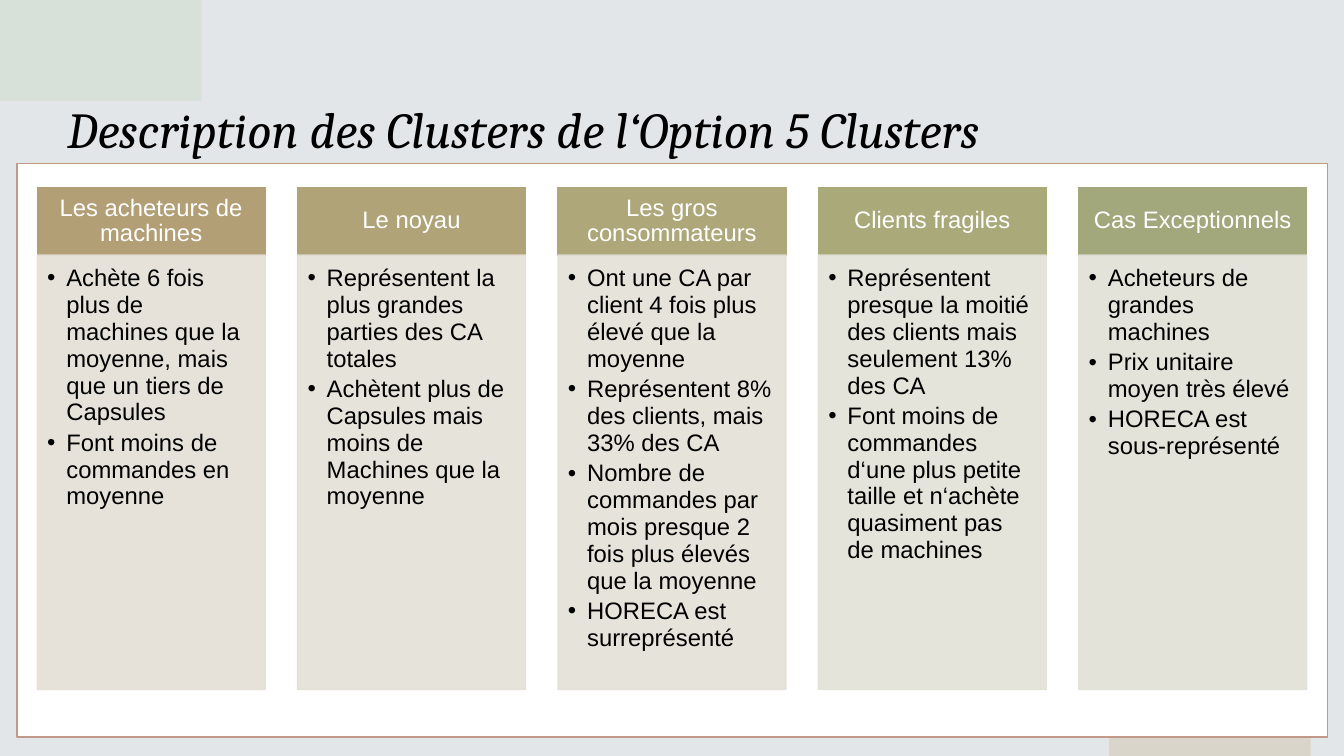
from lxml import etree
from pptx import Presentation
from pptx.dml.color import RGBColor
from pptx.enum.shapes import MSO_SHAPE
from pptx.enum.text import MSO_ANCHOR, PP_ALIGN
from pptx.oxml.ns import qn
from pptx.util import Inches, Pt

RECTANGLE = MSO_SHAPE.RECTANGLE
TOP, MIDDLE, BOTTOM = MSO_ANCHOR.TOP, MSO_ANCHOR.MIDDLE, MSO_ANCHOR.BOTTOM
LEFT, CENTER = PP_ALIGN.LEFT, PP_ALIGN.CENTER

TITLE = "Description des Clusters de l‘Option 5 Clusters"
# heading, heading colour, body colour, points
CLUSTERS = [
    ("Les acheteurs de machines", "B29F76", "E4DFD6", [
        "Achète 6 fois plus de machines que la moyenne, mais que un tiers de Capsules",
        "Font moins de commandes en moyenne"]),
    ("Le noyau", "AFA377", "E3E0D6", [
        "Représentent la plus grandes parties des CA totales",
        "Achètent plus de Capsules mais moins de Machines que la moyenne"]),
    ("Les gros consommateurs", "ADA779", "E3E1D7", [
        "Ont une CA par client 4 fois plus élevé que la moyenne",
        "Représentent 8% des clients, mais 33% des CA",
        "Nombre de commandes par mois presque 2 fois plus élevés que la moyenne",
        "HORECA est surreprésenté"]),
    ("Clients fragiles", "AAA97A", "E2E2D7", [
        "Représentent presque la moitié des clients mais seulement 13% des CA",
        "Font moins de commandes d‘une plus petite taille "
        "et n‘achète quasiment pas de machines"]),
    ("Cas Exceptionnels", "A3A77C", "E0E1D7", [
        "Acheteurs de grandes machines",
        "Prix unitaire moyen très élevé",
        "HORECA est sous-représenté"]),
]
COLORS = {"background": "E2E6E8", "sand": "D1C5AD", "mint": "CDDECC",
          "panel": "FFFFFF", "panel_line": "C29889",
          "heading_text": "FFFFFF", "text": "000000"}

# Outlines in inches: a pair is a straight step, three pairs are a Bézier curve
SAND_BLOB = [(12.88, 6.03), ((13.01, 6.04), (13.14, 6.05), (13.27, 6.08)),
             (13.33, 6.1), (13.33, 7.5), (10.67, 7.5), (10.68, 7.49),
             ((11.02, 7.16), (11.37, 6.84), (11.69, 6.54)),
             ((11.91, 6.32), (12.14, 6.19), (12.37, 6.11)),
             ((12.54, 6.05), (12.71, 6.03), (12.88, 6.03))]
MINT_BLOB = [(0, 0), (2.53, 0), (2.53, 0.06),
             ((2.45, 0.44), (2, 0.67), (1.58, 0.86)),
             ((1.23, 1.03), (0.86, 1.19), (0.41, 1.19)),
             ((0.31, 1.19), (0.22, 1.18), (0.13, 1.16)), (0, 1.14)]
CURVE_STEPS = 12

COLUMN_LEFT, COLUMN_STEP, COLUMN_WIDTH = 0.37, 2.5825, 2.26
HEADING_TOP, HEADING_HEIGHT, BODY_HEIGHT = 1.86, 0.67, 4.31


def set_fill(fill, color, opacity=100):
    """Make a fill solid, with opacity in percent."""
    fill.solid()
    fill.fore_color.rgb = RGBColor.from_string(color)
    if opacity < 100:
        for node in fill._xPr.iter(qn("a:srgbClr")):
            if node.find(qn("a:alpha")) is None:
                etree.SubElement(node, qn("a:alpha"), val=str(opacity * 1000))


def add_blob(page, outline, color):
    points = [outline[0]]
    for step in outline[1:]:
        if len(step) == 2:
            points.append(step)
            continue
        corners = (points[-1], *step)
        for index in range(1, CURVE_STEPS + 1):
            t = index / CURVE_STEPS
            weights = ((1 - t) ** 3, 3 * t * (1 - t) ** 2, 3 * t * t * (1 - t), t ** 3)
            points.append(tuple(sum(w * c[axis] for w, c in zip(weights, corners))
                                for axis in (0, 1)))
    builder = page.shapes.build_freeform(*points[0], scale=Inches(1))
    builder.add_line_segments(points[1:])
    blob = builder.convert_to_shape()
    blob.shadow.inherit = False
    set_fill(blob.fill, color, 50)
    blob.line.fill.background()


def add_box(page, place, color, line_color, opacity=100):
    box = page.shapes.add_shape(RECTANGLE, *map(Inches, place))
    box.shadow.inherit = False
    set_fill(box.fill, color, opacity)
    set_fill(box.line.fill, line_color, opacity)
    box.line.width = Pt(1)
    return box


def set_frame(frame, anchor, insets):
    frame.word_wrap = True
    frame.vertical_anchor = anchor
    (frame.margin_left, frame.margin_top,
     frame.margin_right, frame.margin_bottom) = map(Inches, insets)


def set_font(para, name, size, color, italic=False):
    para.font.name = name
    para.font.size = Pt(size)
    para.font.italic = italic
    para.font.color.rgb = RGBColor.from_string(color)


def add_bullet(para):
    properties = para._p.get_or_add_pPr()
    properties.set("marL", str(Inches(0.19)))
    properties.set("indent", str(-Inches(0.19)))
    etree.SubElement(properties, qn("a:buFont"), typeface="Arial")
    etree.SubElement(properties, qn("a:buChar"), char="•")


def add_cluster(page, left, heading, heading_color, body_color, points):
    head = add_box(page, (left, HEADING_TOP, COLUMN_WIDTH, HEADING_HEIGHT),
                   heading_color, heading_color)
    set_frame(head.text_frame, MIDDLE, (0.13, 0.08, 0.13, 0.08))
    para = head.text_frame.paragraphs[0]
    para.text = heading
    para.alignment = CENTER
    para.line_spacing = 0.9
    set_font(para, "Arial", 17, COLORS["heading_text"])

    body = add_box(page, (left, HEADING_TOP + HEADING_HEIGHT, COLUMN_WIDTH, BODY_HEIGHT),
                   body_color, body_color, 90)
    frame = body.text_frame
    set_frame(frame, TOP, (0.1, 0.1, 0.13, 0.15))
    frame.text = "\n".join(points)
    for para in frame.paragraphs:
        para.alignment = LEFT
        para.line_spacing = 0.94
        para.space_after = Pt(2.5)
        add_bullet(para)
        set_font(para, "Arial", 17, COLORS["text"])


def main():
    deck = Presentation()
    deck.slide_width, deck.slide_height = Inches(13.33), Inches(7.5)
    page = deck.slides.add_slide(deck.slide_layouts[6])
    set_fill(page.background.fill, COLORS["background"])
    add_blob(page, SAND_BLOB, COLORS["sand"])
    add_blob(page, MINT_BLOB, COLORS["mint"])
    add_box(page, (0.17, 1.62, 13, 5.69), COLORS["panel"], COLORS["panel_line"])

    for index, cluster in enumerate(CLUSTERS):
        add_cluster(page, COLUMN_LEFT + index * COLUMN_STEP, *cluster)

    title = page.shapes.add_textbox(*map(Inches, (0.57, 0.17, 11.02, 1.45)))
    set_frame(title.text_frame, BOTTOM, (0.1, 0.05, 0.1, 0.05))
    para = title.text_frame.paragraphs[0]
    para.text = TITLE
    set_font(para, "Cambria", 36, COLORS["text"], italic=True)
    deck.save("out.pptx")


if __name__ == "__main__":
    main()
